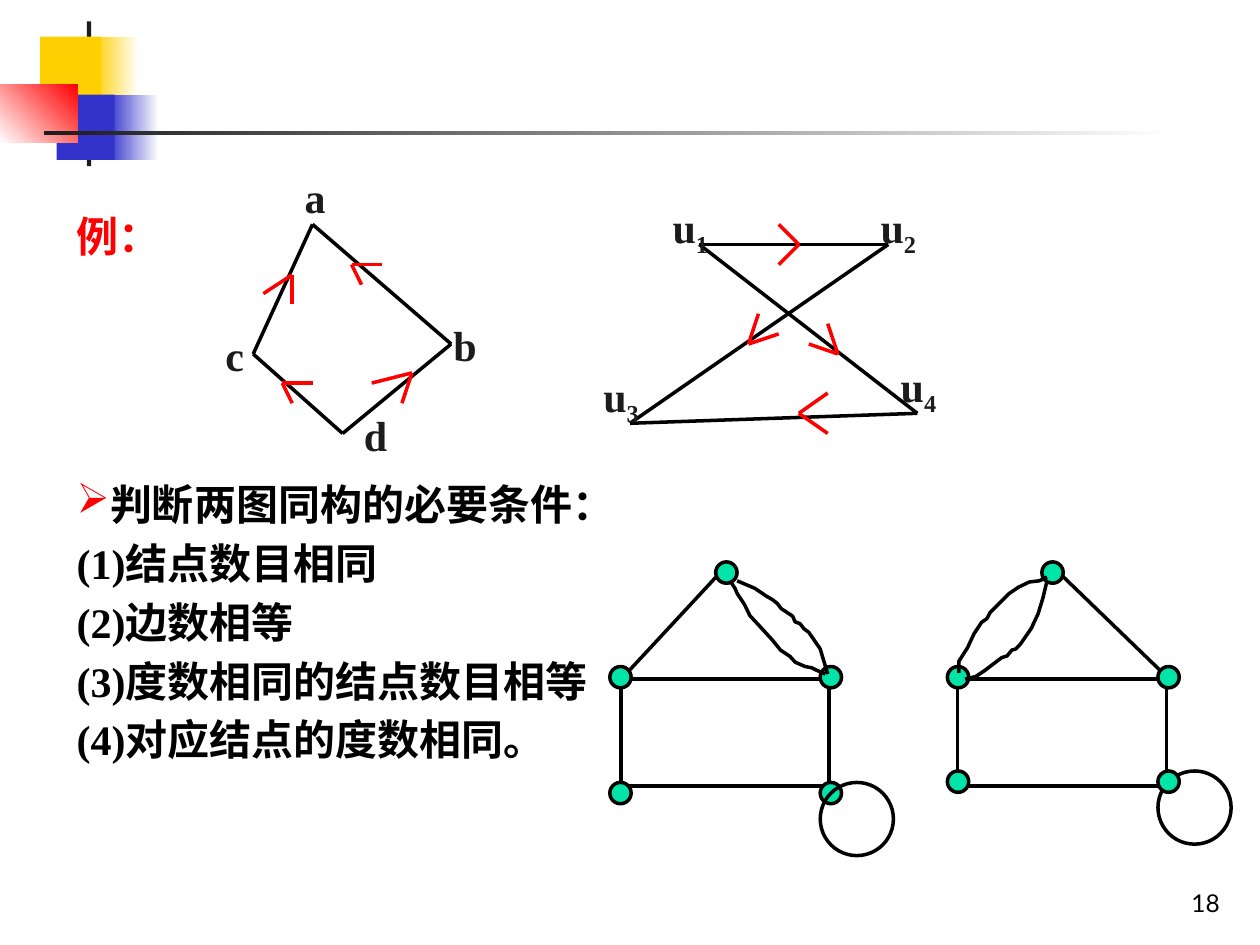
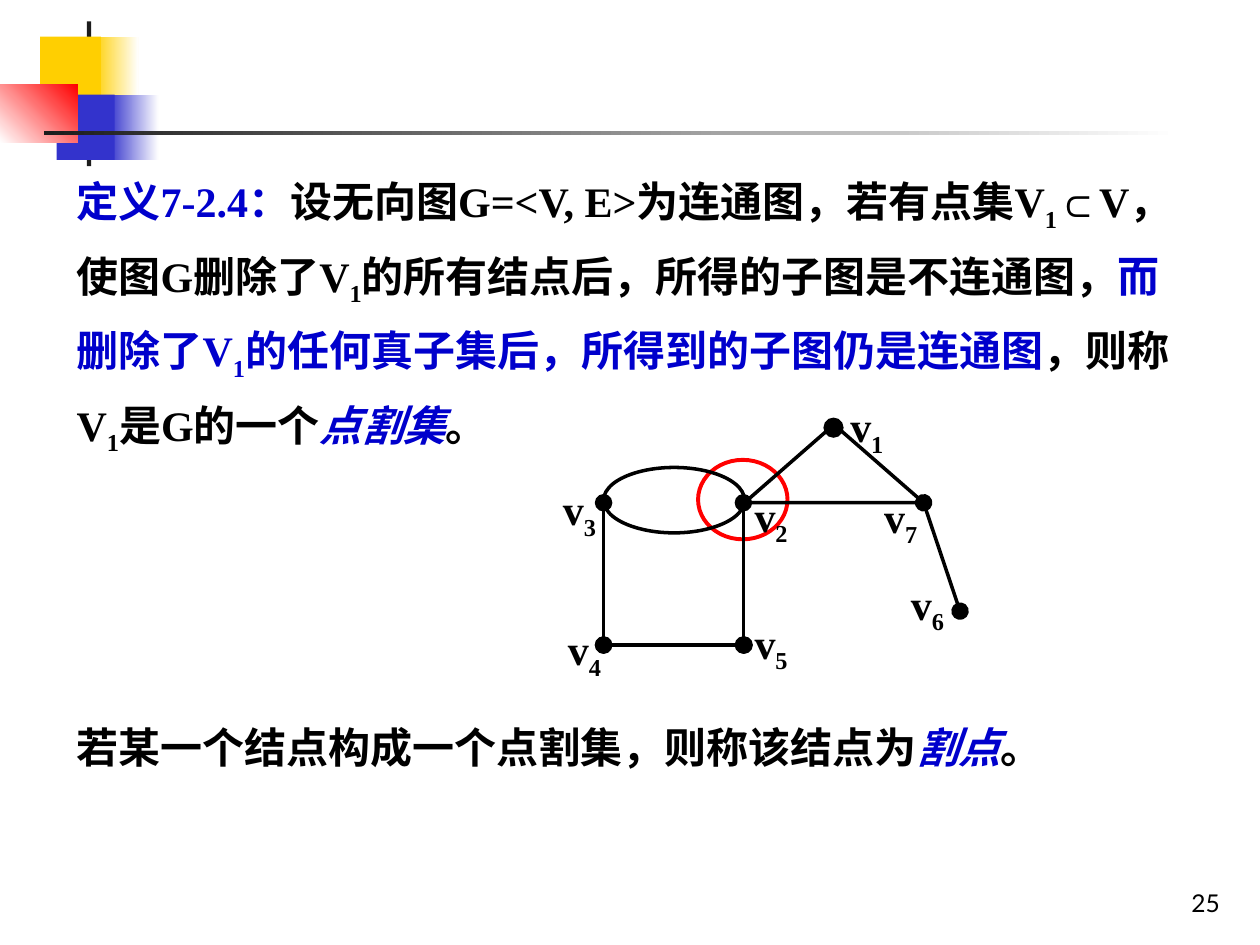
import lxml.etree
import pptx
import pptx.dml.color
import pptx.enum.shapes
import pptx.enum.text
import pptx.oxml.ns
import pptx.util

Pt = pptx.util.Pt
RGBColor = pptx.dml.color.RGBColor
SHAPE = pptx.enum.shapes.MSO_SHAPE
STRAIGHT = pptx.enum.shapes.MSO_CONNECTOR.STRAIGHT
qn = pptx.oxml.ns.qn

BLACK = RGBColor(0, 0, 0)
INK = RGBColor(0x1C, 0x1C, 0x1C)
WHITE = RGBColor(255, 255, 255)
RED = RGBColor(255, 0, 0)
YELLOW = RGBColor(0xFF, 0xCF, 0x01)
INDIGO = RGBColor(0x33, 0x33, 0xCC)
BLUE = RGBColor(0, 0, 0xCC)
GREEN = RGBColor(0, 0xE4, 0xA8)
SERIF = "Times New Roman"


def outline(shape, color=BLACK, width=2, fill=None, ends=None):
    """Style a shape or connector without shadow; ends names an arrowhead for both ends."""
    shape.line.color.rgb = color
    shape.line.width = Pt(width)
    if fill is not None:
        shape.fill.solid()
        shape.fill.fore_color.rgb = fill
    elif hasattr(shape, "fill"):
        shape.fill.background()
    if ends:
        for tag in ("a:headEnd", "a:tailEnd"):
            lxml.etree.SubElement(shape.line._get_or_add_ln(), qn(tag), type=ends, w="lg", len="lg")
    lxml.etree.SubElement(shape.element.spPr, qn("a:effectLst"))


def write(page, bounds, paragraphs, font=SERIF, size=24, bold=True, wrap=True):
    """Add a text box; a paragraph lists (text, colour[, italic]), and _ lowers the next character."""
    box = page.shapes.add_textbox(*map(Pt, bounds))
    box.text_frame.word_wrap = wrap
    for number, spans in enumerate(paragraphs):
        para = box.text_frame.add_paragraph() if number else box.text_frame.paragraphs[0]
        para.font.name, para.font.size, para.font.bold = font, Pt(size), bold
        for text, color, *italic in spans:
            first, *rest = text.split("_")
            pieces = [(first, False)]
            for part in rest:
                pieces += [(part[0], True), (part[1:], False)]
            for piece, lowered in pieces:
                if piece:
                    span = para.add_run()
                    span.text = piece
                    span.font.color.rgb = color
                    if italic:
                        span.font.italic = True
                    if lowered:
                        span.font._element.set("baseline", "-25000")
    return box.text_frame


deck = pptx.Presentation()
deck.slide_width, deck.slide_height = Pt(720), Pt(540)
layout = deck.slide_layouts[6]
isomorphism_page = deck.slides.add_slide(layout)
cut_set_page = deck.slides.add_slide(layout)

# Corner ornament and rule, kept on the shared layout
ornament = [
    ((53.3, 20.9, 25.9, 37.4), (YELLOW, WHITE), 0),
    ((61.9, 54, 28.8, 37.4), (INDIGO, WHITE), 0),
    ((49.7, 12.2, 2.4, 82.8), (INK,), 0),
    ((23, 20.9, 34.6, 37.4), (YELLOW,), 0),
    ((32.4, 54, 33.1, 37.4), (INDIGO,), 0),
    ((0, 48.2, 44.4, 33.1), (WHITE, RED), 45),
    ((25.2, 74.9, 648, 2.2), (INK, WHITE), 0),
]
for bounds, colors, angle in ornament:
    block = isomorphism_page.shapes.add_shape(SHAPE.RECTANGLE, *map(Pt, bounds))
    block.shadow.inherit = False
    block.line.fill.background()
    if len(colors) == 1:
        block.fill.solid()
        block.fill.fore_color.rgb = colors[0]
    else:
        block.fill.gradient()
        block.fill.gradient_angle = angle
        for stop, color in zip(block.fill.gradient_stops, colors):
            stop.color.rgb = color
    layout.element.cSld.spTree.append(block.element)

for page, number in ((isomorphism_page, "18"), (cut_set_page, "25")):
    frame = write(page, (554.4, 491.8, 149.8, 36), [[(number, BLACK)]], "Lato", 14, False)
    frame.vertical_anchor = pptx.enum.text.MSO_ANCHOR.BOTTOM
    frame.paragraphs[0].alignment = pptx.enum.text.PP_ALIGN.RIGHT

# Slide 1: two isomorphic directed graphs
page = isomorphism_page
nodes = {
    "a": (178.6, 128.2), "b": (257.8, 196.6), "c": (144.7, 202.3), "d": (195.8, 247.7),
    "u_1": (399.6, 139.7), "u_2": (507.6, 139.7), "u_3": (360, 241.9), "u_4": (524.2, 236.2),
}
edges = [("b", "a"), ("a", "c"), ("d", "b"), ("d", "c"),
         ("u_4", "u_1"), ("u_2", "u_1"), ("u_3", "u_2"), ("u_4", "u_3")]
for start, end in edges:
    outline(page.shapes.add_connector(STRAIGHT, *map(Pt, nodes[start] + nodes[end])))

node_labels = {
    "a": (167, 94.3), "b": (252, 179.3), "c": (121.7, 185), "d": (200.9, 230.4),
    "u_1": (377.3, 111.6), "u_2": (496.1, 111.6), "u_3": (337.7, 208.1), "u_4": (507.6, 202.3),
}
for name, corner in node_labels.items():
    write(page, corner + (45.4 if "_" in name else 33.8, 36), [[(name, INK)]])

# Each direction mark: its tip and the ends of its two arms
direction_marks = [
    ((161.3, 218.9), (167, 230.4), (178.6, 218.9)),
    ((200.9, 151.2), (206.6, 162.7), (218.2, 151.2)),
    ((167, 157), (167, 173.5), (150.5, 167.8)),
    ((235.4, 213.1), (229.7, 230.4), (212.4, 218.9)),
    ((456.5, 139.7), (445, 151.2), (445, 128.2)),
    ((456.5, 236.2), (473, 247.7), (473, 224.6)),
    ((427.7, 196.6), (445, 190.8), (433.4, 179.3)),
    ((478.8, 202.3), (462.2, 196.6), (473, 185)),
]
for tip, *arms in direction_marks:
    for arm in arms:
        outline(page.shapes.add_connector(STRAIGHT, *map(Pt, tip + arm)), RED)

write(page, (36.7, 116.6, 64.8, 36), [[("例：", RED)]])
conditions = ["判断两图同构的必要条件：", "(1)结点数目相同", "(2)边数相等",
              "(3)度数相同的结点数目相等", "(4)对应结点的度数相同。"]
frame = write(page, (36.7, 270, 651.6, 174.2), [[(text, BLACK)] for text in conditions])
for para in frame.paragraphs[1:]:
    para.space_before = Pt(4.8)
heading_format = frame.paragraphs[0]._p.get_or_add_pPr()
heading_format.set("marL", "0")
heading_format.set("indent", "0")
bullet_color = lxml.etree.Element(qn("a:buClr"))
lxml.etree.SubElement(bullet_color, qn("a:srgbClr"), val=str(RED))
bullet = lxml.etree.Element(qn("a:buChar"), char="➢")
heading_format.insert(0, bullet_color)
heading_format.insert(1, bullet)

# Two house graphs: walls, roof, dots, self-loop, then the double edge
FLOOR, BEAM, DOT, LOOP = 449.3, 388.1, 12.2, 41.8
houses = [
    {
        "walls": (355, 473.8),
        "roof": (355, 388.1, 411.8, 326.9),
        "dots": [(348.5, 447.1), (468.7, 447.1), (348.5, 380.9), (409, 321.1), (468.7, 380.9)],
        "loop": (468.7, 447.1),
        "curves": [
            [(417.6, 332.6), (420, 336.2), (421.2, 339.1), (425.5, 345.6), (428.5, 351.8),
             (433.4, 357.1), (441.4, 365.8), (446, 371.5), (451.4, 375.1), (454.5, 378.5),
             (460.1, 380.9), (463.7, 381.6), (466.6, 383), (471.6, 385.2)],
            [(421.2, 331.9), (431.3, 336.2), (437.8, 340.6), (441.4, 342.7), (444.2, 344.9),
             (446.4, 347.8), (452.9, 352.1), (454.4, 355.4), (457.2, 356.4), (459.4, 359.3),
             (462.2, 361.4), (468.7, 370.8), (473, 385.2)],
        ],
    },
    {
        "walls": (547.2, 666.7),
        "roof": (667.4, 387.4, 604.8, 326.9),
        "dots": [(595.4, 321.1), (541.4, 380.9), (661.7, 380.9), (541.4, 440.6), (661.7, 440.6)],
        "loop": (661.7, 440.6),
        "curves": [
            [(598.3, 331.9), (595.9, 341.9), (593.2, 350.7), (589.3, 359.1), (583.2, 367.9),
             (580.5, 370.8), (578.2, 371.5), (575.5, 374.8), (572.4, 375.8), (562.5, 383.3),
             (557.5, 386.6), (551.5, 388.1)],
            [(598.3, 329.8), (594, 331.9), (588.2, 332.6), (582, 335.6), (576.5, 339.3),
             (565.9, 349.9), (564, 353.5), (560.9, 355.7), (556.6, 362.2), (553, 370),
             (547.9, 378), (547.9, 384.5)],
        ],
    },
]
for house in houses:
    left, right = house["walls"]
    beams = [(left, FLOOR, right, FLOOR), (left, FLOOR, left, BEAM),
             (right, FLOOR, right, BEAM), (left, BEAM, right, BEAM), house["roof"]]
    for beam in beams:
        outline(page.shapes.add_connector(STRAIGHT, *map(Pt, beam)))
    *lower_dots, top_dot = [(corner, DOT, GREEN) for corner in house["dots"]]
    for corner, size, fill in lower_dots + [(house["loop"], LOOP, None), top_dot]:
        circle = page.shapes.add_shape(SHAPE.OVAL, *map(Pt, corner + (size, size)))
        outline(circle, fill=fill)
    for start, *bends in house["curves"]:
        curve = page.shapes.build_freeform(*map(Pt, start))
        curve.add_line_segments([(Pt(x), Pt(y)) for x, y in bends], close=False)
        outline(curve.convert_to_shape())

# Slide 2: cut set definition
page = cut_set_page
definition = [
    ("定义7-2.4：", BLUE),
    ("设无向图G=<V, E>为连通图，若有点集V_1⊂V，使图G删除了V_1的所有结点后，所得的子图是不连通图，", BLACK),
    ("而删除了V_1的任何真子集后，所得到的子图仍是连通图", BLUE),
    ("，则称V_1是G的一个", BLACK),
    ("点割集", BLUE, True),
    ("。", BLACK),
]
cut_vertex = [("若某一个结点构成一个点割集，则称该结点为", BLACK), ("割点", BLUE, True), ("。", BLACK)]
for frame in (write(page, (36.7, 87.1, 651.6, 157), [definition]),
              write(page, (36.7, 400.3, 569.5, 44.6), [cut_vertex], "Arial", wrap=False)):
    frame.paragraphs[0].line_spacing = 1.3

outlines = [
    (SHAPE.OVAL, (398.9, 262.8, 51.1, 45.4), RED, 2.25, None),
    (SHAPE.OVAL, (344.9, 267.1, 80.6, 37.4), BLACK, 2, None),
    (SHAPE.ISOSCELES_TRIANGLE, (425.5, 242.6, 102.2, 44.6), BLACK, 2, None),
    (SHAPE.OVAL, (470.9, 239, 10.8, 10.8), BLACK, 0.75, BLACK),
]
for kind, bounds, color, width, fill in outlines:
    outline(page.shapes.add_shape(kind, *map(Pt, bounds)), color, width, fill)

dotted_edges = [(344.9, 287.3, 344.9, 368.6), (424.8, 287.3, 424.8, 368.6),
                (344.9, 368.6, 425.2, 368.6), (527.8, 287.3, 548.6, 349.2)]
for edge in dotted_edges:
    outline(page.shapes.add_connector(STRAIGHT, *map(Pt, edge)), ends="oval")

vertex_labels = [(478.8, 225.4), (424.1, 276.5), (314.6, 272.9), (317.5, 352.8),
                 (424.1, 349.2), (513.4, 326.9), (498.2, 277.2)]
for number, corner in enumerate(vertex_labels, 1):
    write(page, corner + (36, 36), [[(f"v_{number}", BLACK)]])

deck.save("out.pptx")
